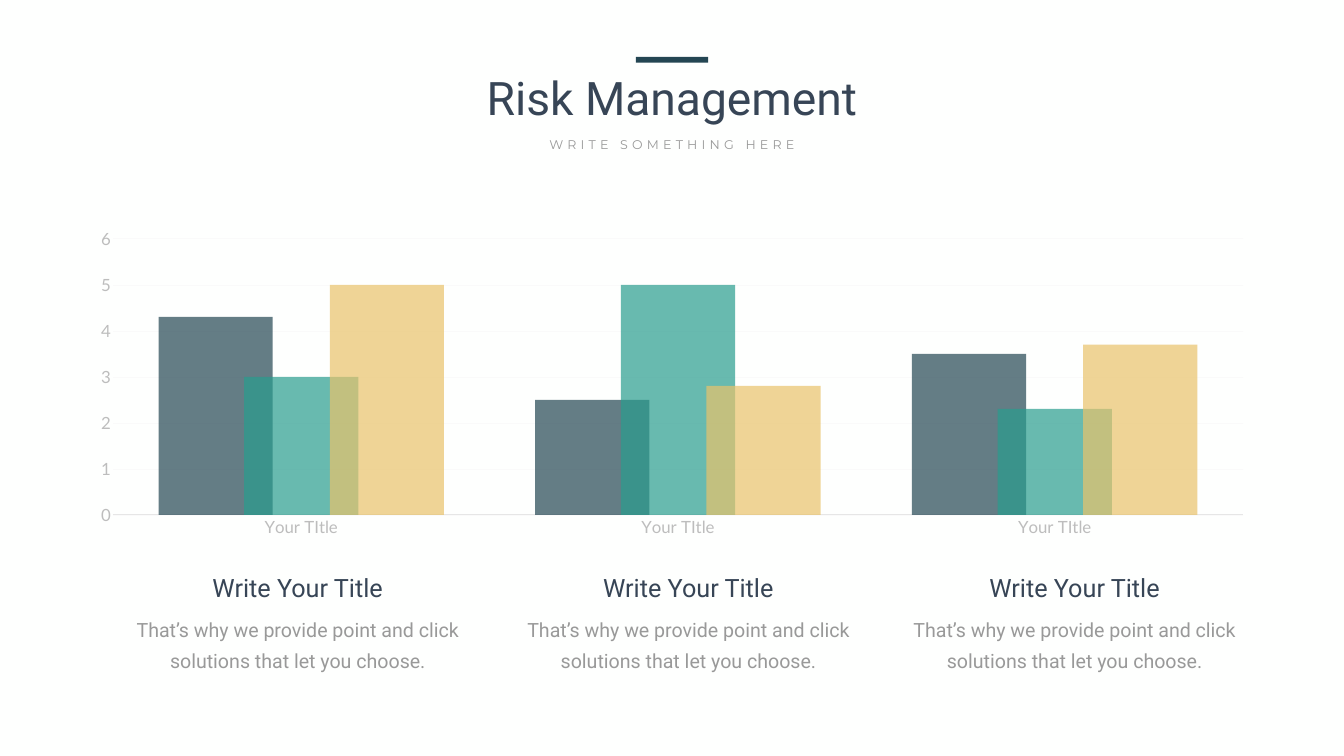
from lxml import etree
from pptx import Presentation
from pptx import util as u
from pptx.chart.data import CategoryChartData
from pptx.dml.color import RGBColor
from pptx.enum import chart as charts, shapes, text
from pptx.oxml.ns import qn

Pt = u.Pt
WIDTH, HEIGHT = 1919.52, 1080
NAVY, TEAL, GOLD = "244653", "299D8E", "E9C36B"
HEADING, BODY, LABEL = "374556", "999999", "BDBDBD"
BAR_SERIES = [
    ("Series 1", (4.3, 2.5, 3.5), NAVY),
    ("Series 2", (3, 5, 2.3), TEAL),
    ("Series 3", (5, 2.8, 3.7), GOLD),
]
COLUMN_CENTERS = (425.16, 983.16, 1534.68)


def rgb(code):
    return RGBColor.from_string(code)


class RiskSlide:
    def __init__(self, prs):
        self.slide = prs.slides.add_slide(prs.slide_layouts[6])
        fill = self.slide.background.fill
        fill.solid()
        fill.fore_color.rgb = rgb("FEFFFE")

    def style_font(self, font, size, color, name):
        font.size = Pt(size)
        font.name = name
        font.color.rgb = rgb(color)

    def label(self, center, top, width, height, words, size, color,
              font="Roboto", leading=None, tracking=None):
        """Add a centred text box; leading and tracking are in points."""
        box = self.slide.shapes.add_textbox(
            Pt(center - width / 2), Pt(top), Pt(width), Pt(height))
        frame = box.text_frame
        frame.word_wrap = True
        frame.auto_size = text.MSO_AUTO_SIZE.SHAPE_TO_FIT_TEXT
        paragraph = frame.paragraphs[0]
        paragraph.alignment = text.PP_ALIGN.CENTER
        if leading:
            paragraph.line_spacing = Pt(leading)
        run = paragraph.add_run()
        run.text = words
        self.style_font(run.font, size, color, font)
        if tracking:
            run._r.get_or_add_rPr().set("spc", str(tracking * 100))

    def bar(self, center, top, width, height, color):
        rect = self.slide.shapes.add_shape(
            shapes.MSO_SHAPE.RECTANGLE,
            Pt(center - width / 2), Pt(top), Pt(width), Pt(height))
        rect.shadow.inherit = False
        rect.fill.solid()
        rect.fill.fore_color.rgb = rgb(color)
        rect.line.fill.background()

    def column_chart(self, left, top, width, height, categories, series):
        data = CategoryChartData()
        data.categories = categories
        for name, values, _ in series:
            data.add_series(name, values)
        chart = self.slide.shapes.add_chart(
            charts.XL_CHART_TYPE.COLUMN_CLUSTERED,
            Pt(left), Pt(top), Pt(width), Pt(height), data).chart
        chart.has_legend = False
        chart.has_title = False
        self.style_font(chart.font, 24, BODY, "Lato")

        plot = chart.plots[0]
        plot.vary_by_categories = False
        plot.gap_width = 80
        plot.overlap = 25
        for bars, (_, _, color) in zip(plot.series, series):
            bars.format.fill.solid()
            bars.format.fill.fore_color.rgb = rgb(color)
            tint = next(bars._element.iter(qn("a:srgbClr")))
            etree.SubElement(tint, qn("a:alpha")).set("val", "70000")

        for axis in (chart.category_axis, chart.value_axis):
            axis.major_tick_mark = charts.XL_TICK_MARK.NONE
            axis.minor_tick_mark = charts.XL_TICK_MARK.NONE
            self.style_font(axis.tick_labels.font, 24, LABEL, "Lato")
        base = chart.category_axis.format.line
        base.color.rgb = rgb("E6E6E6")
        base.width = Pt(1.25)
        scale = chart.value_axis
        scale.minimum_scale, scale.maximum_scale, scale.major_unit = 0, 6, 1
        scale.format.line.fill.background()
        scale.has_major_gridlines = True
        grid = scale.major_gridlines.format.line
        grid.color.rgb = rgb("FAFAFA")
        grid.width = Pt(0.75)
        self.place_plot(chart, x=0.03, y=0.05, w=0.95, h=0.86)

    def place_plot(self, chart, **fractions):
        """Fix the inner plot area as fractions of the chart."""
        area = next(chart._chartSpace.iter(qn("c:plotArea")))
        for old in area.findall(qn("c:layout")):
            area.remove(old)
        layout = etree.Element(qn("c:layout"))
        manual = etree.SubElement(layout, qn("c:manualLayout"))
        settings = {"layoutTarget": "inner", "xMode": "edge", "yMode": "edge", **fractions}
        for tag, value in settings.items():
            etree.SubElement(manual, qn("c:" + tag)).set("val", str(value))
        area.insert(0, layout)


def main():
    prs = Presentation()
    prs.slide_width, prs.slide_height = Pt(WIDTH), Pt(HEIGHT)
    page = RiskSlide(prs)
    middle = WIDTH / 2

    page.label(middle, 95, 805.7, 87, "Risk Management", 66, HEADING)
    page.label(middle, 191.5, 429, 29, "WRITE SOMETHING HERE", 18, BODY,
               font="Montserrat", tracking=6)
    page.bar(middle, 81.4, 103, 7.9, NAVY)
    page.column_chart(110.2, 318.2, 1699.2, 458.6, ["Your TItle"] * 3, BAR_SERIES)

    for center in COLUMN_CENTERS:
        page.label(center, 870.5, 504.7, 90,
                   "That’s why we provide point and click solutions that let you choose.",
                   28, BODY, leading=43)
        page.label(center, 814.3, 317.5, 51, "Write Your Title", 36, HEADING)

    prs.save("out.pptx")


if __name__ == "__main__":
    main()
